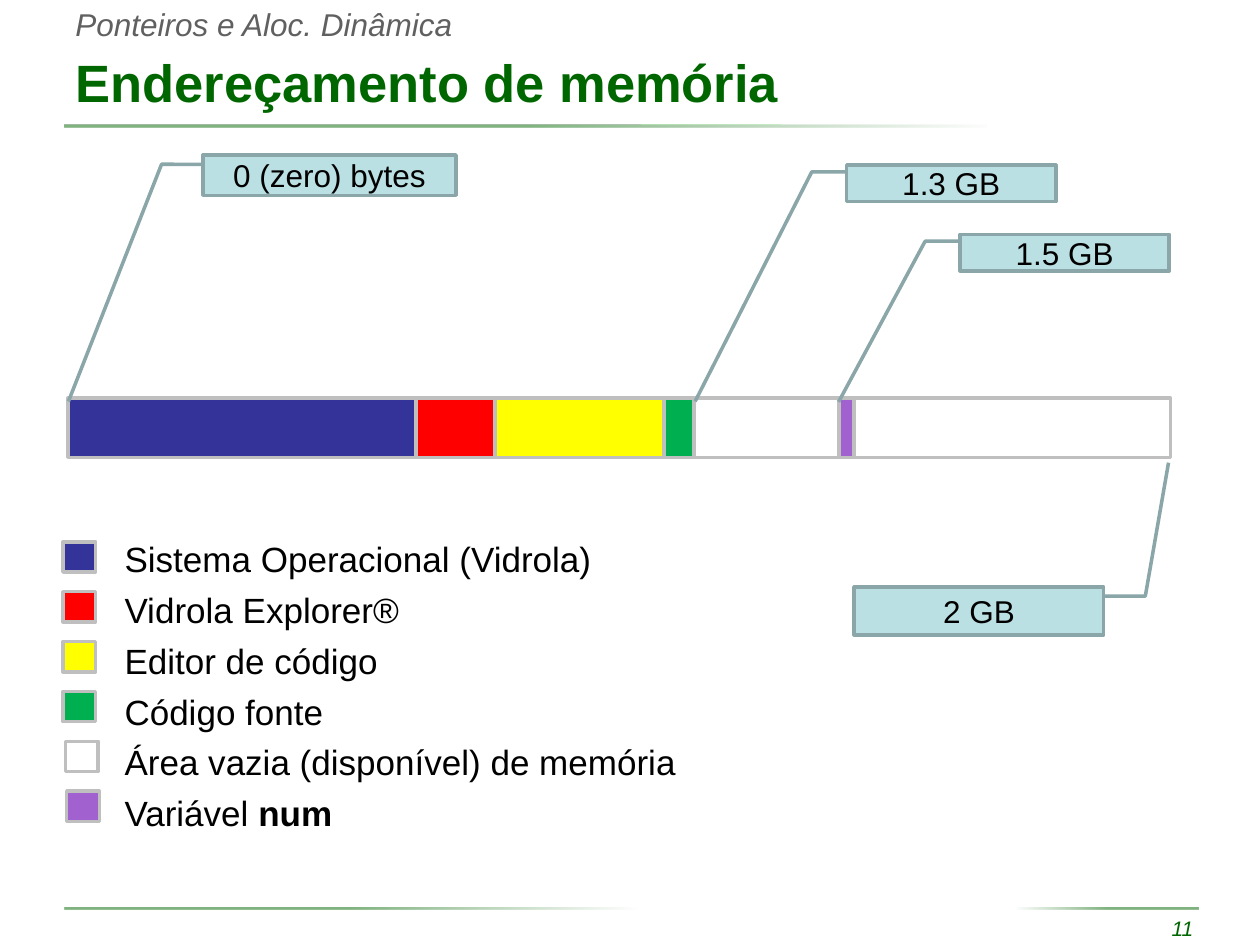
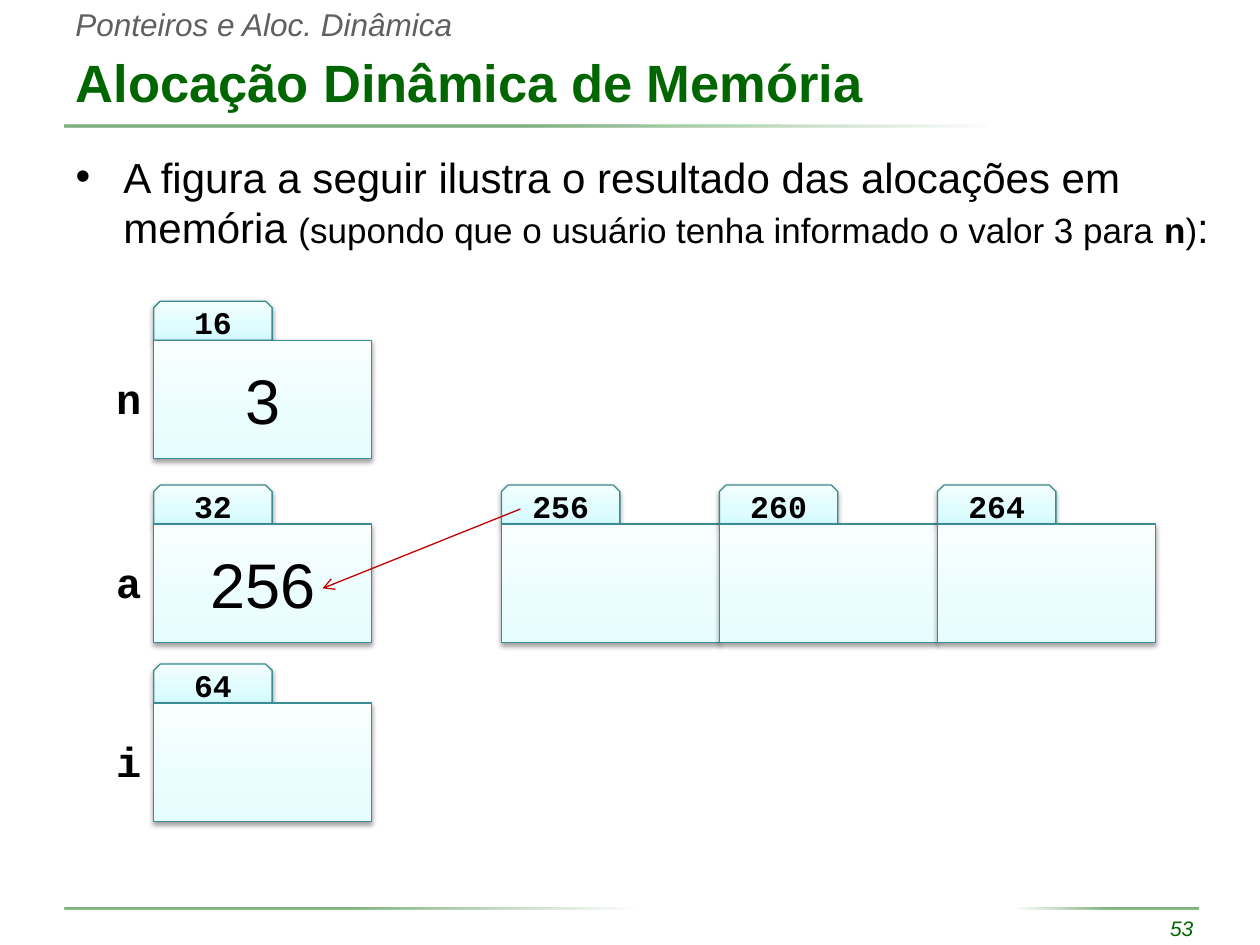
from dataclasses import dataclass
from typing import Optional

import pptx
import pptx.dml.color
import pptx.enum.shapes
import pptx.enum.text
import pptx.oxml
import pptx.oxml.ns
import pptx.oxml.xmlchemy
import pptx.presentation
import pptx.shapes.autoshape
import pptx.slide
import pptx.util
from lxml import etree

Inches = pptx.util.Inches
Pt = pptx.util.Pt
RGBColor = pptx.dml.color.RGBColor
qn = pptx.oxml.ns.qn
SHAPE = pptx.enum.shapes.MSO_SHAPE
ALIGN = pptx.enum.text.PP_ALIGN
ANCHOR = pptx.enum.text.MSO_ANCHOR
AUTO_SIZE = pptx.enum.text.MSO_AUTO_SIZE

# Colours and fonts
GREEN = RGBColor(0x00, 0x66, 0x00)
GRAY = RGBColor(0x60, 0x60, 0x60)
BLACK = RGBColor(0x00, 0x00, 0x00)
WHITE = RGBColor(0xFF, 0xFF, 0xFF)
NEAR_WHITE = RGBColor(0xFC, 0xFC, 0xFC)
BLUE = RGBColor(0x33, 0x33, 0x99)
RED = RGBColor(0xFF, 0x00, 0x00)
YELLOW = RGBColor(0xFF, 0xFF, 0x00)
CODE_GREEN = RGBColor(0x00, 0xB0, 0x50)
PURPLE = RGBColor(0xA1, 0x62, 0xD0)
AREA_BORDER = RGBColor(0xBF, 0xBF, 0xBF)
CALLOUT_FILL = RGBColor(0xBB, 0xE0, 0xE3)
CALLOUT_BORDER = RGBColor(0x8A, 0xA6, 0xA8)
CELL_BORDER = RGBColor(0x3C, 0x8C, 0x93)
ARROW_RED = RGBColor(0xC0, 0x00, 0x00)
SANS = "Arial"
MONO = "Courier New"

Stops = list[tuple[int, RGBColor]]
TAB_STOPS: Stops = [(0, RGBColor(0xD3, 0xFB, 0xFF)), (35, RGBColor(0xDF, 0xFC, 0xFF)),
                    (100, RGBColor(0xF2, 0xFE, 0xFF))]
CELL_STOPS: Stops = [(0, RGBColor(0xE6, 0xFD, 0xFF)), (35, RGBColor(0xEC, 0xFD, 0xFF)),
                     (100, RGBColor(0xF8, 0xFE, 0xFF))]


@dataclass(frozen=True)
class Band:
    left: float
    top: float
    width: float
    end_color: RGBColor
    angle: int = 0


@dataclass(frozen=True)
class MemoryArea:
    label: str
    color: RGBColor
    left: float
    width: float
    swatch_left: float = 0.5
    bold_label: str = ""


@dataclass(frozen=True)
class Callout:
    text: str
    box: tuple[float, float, float, float]
    leader: tuple[float, ...]
    flipped: bool = False


@dataclass(frozen=True)
class MemoryCell:
    address: str
    left: float
    top: float
    value: str = ""
    name: str = ""


BANDS = [
    Band(0.51, 0.99, 7.32, NEAR_WHITE),
    Band(0.51, 7.2, 4.54, WHITE),
    Band(8.06, 7.2, 1.45, WHITE, 180),
]

MEMORY_AREAS = [
    MemoryArea("Sistema Operacional (Vidrola)", BLUE, 0.54, 2.76),
    MemoryArea("Vidrola Explorer®", RED, 3.3, 0.63),
    MemoryArea("Editor de código", YELLOW, 3.93, 1.34),
    MemoryArea("Código fonte", CODE_GREEN, 5.27, 0.24),
    MemoryArea("Área vazia (disponível) de memória", WHITE, 5.51, 3.78, 0.52),
    MemoryArea("Variável ", PURPLE, 6.66, 0.12, 0.53, "num"),
]

CALLOUTS = [
    Callout("1.3 GB", (6.72, 1.31, 1.66, 0.29), (0.188, 0.003, 0.188, -0.167, 6.466, -0.725)),
    Callout("2 GB", (6.78, 4.66, 1.98, 0.38), (0.188, 0.003, 0.188, -0.167, -2.6, -0.26), True),
    Callout("1.5 GB", (7.62, 1.86, 1.66, 0.29), (0.188, 0.003, 0.188, -0.167, 4.584, -0.581)),
    Callout("0 (zero) bytes", (1.61, 1.23, 2.01, 0.32),
            (0.232, -0.005, 0.231, -0.163, 6.113, -0.531)),
]

CELL_WIDTH, CELL_HEIGHT = 1.73, 0.94
TAB_WIDTH, TAB_HEIGHT = 0.94, 0.31
VARIABLE_LEFT, ARRAY_LEFT, ARRAY_TOP = 1.22, 3.98, 3.85
MEMORY_CELLS = [
    MemoryCell("16", VARIABLE_LEFT, 2.39, "3", "n"),
    MemoryCell("32", VARIABLE_LEFT, ARRAY_TOP, "256", "a"),
    MemoryCell("64", VARIABLE_LEFT, 5.27, "", "i"),
] + [MemoryCell(str(256 + 4 * index), ARRAY_LEFT + CELL_WIDTH * index, ARRAY_TOP)
     for index in range(3)]


# Text and shape helpers
def write(paragraph, text: str, *, size: float = 18, font: str = SANS,
          color: RGBColor = BLACK, bold: bool = False, italic: bool = False,
          align: Optional[ALIGN] = None) -> None:
    """Append a formatted run to the paragraph."""
    if align is not None:
        paragraph.alignment = align
    run = paragraph.add_run()
    run.text = text
    run.font.size = Pt(size)
    run.font.name = font
    run.font.color.rgb = color
    run.font.bold = bold
    run.font.italic = italic


def place(shape, left: float, top: float, width: float, height: float) -> None:
    shape.left, shape.top = Inches(left), Inches(top)
    shape.width, shape.height = Inches(width), Inches(height)


def add_box(slide: pptx.slide.Slide, kind: SHAPE, left: float, top: float, width: float,
            height: float, *, fill: Optional[RGBColor] = None,
            border: Optional[RGBColor] = None,
            border_width: float = 2) -> pptx.shapes.autoshape.Shape:
    shape = slide.shapes.add_shape(kind, Inches(left), Inches(top),
                                   Inches(width), Inches(height))
    shape.shadow.inherit = False
    if fill is not None:
        shape.fill.solid()
        shape.fill.fore_color.rgb = fill
    if border is None:
        shape.line.fill.background()
    else:
        shape.line.color.rgb = border
        shape.line.width = Pt(border_width)
    shape.text_frame.vertical_anchor = ANCHOR.MIDDLE
    return shape


def add_text_box(slide: pptx.slide.Slide, left: float, top: float, width: float,
                 height: float, *, wrap: bool = True):
    text_frame = slide.shapes.add_textbox(Inches(left), Inches(top), Inches(width),
                                          Inches(height)).text_frame
    text_frame.word_wrap = wrap
    return text_frame


def add_color(parent, color: RGBColor, opacity: int) -> None:
    element = etree.SubElement(parent, qn("a:srgbClr"), val=str(color))
    if opacity < 100:
        etree.SubElement(element, qn("a:alpha"), val=str(opacity * 1000))


def fill_gradient(shape, stops: Stops, angle: int, opacity: int = 100) -> None:
    """Fill with colour stops along a clockwise angle."""
    shape.fill.gradient()
    shape.fill.gradient_angle = (360 - angle) % 360
    stop_list = shape._element.spPr.find(".//" + qn("a:gsLst"))
    for stop in list(stop_list):
        stop_list.remove(stop)
    for position, color in stops:
        stop = etree.SubElement(stop_list, qn("a:gs"), pos=str(position * 1000))
        add_color(stop, color, opacity)


def add_shadow(shape) -> None:
    effects = shape._element.spPr.find(qn("a:effectLst"))
    shadow = etree.SubElement(effects, qn("a:outerShdw"), blurRad=str(Pt(3.1)),
                              dist=str(Pt(1.6)), dir="5400000", rotWithShape="0")
    add_color(shadow, BLACK, 38)


# Parts shared by the slides
def start_slide(presentation: pptx.presentation.Presentation, layout: int, title: str,
                number: int) -> pptx.slide.Slide:
    slide = presentation.slides.add_slide(presentation.slide_layouts[layout])
    for band in BANDS:
        shape = add_box(slide, SHAPE.RECTANGLE, band.left, band.top, band.width, 0.02)
        fill_gradient(shape, [(0, GREEN), (50, GREEN), (100, band.end_color)], band.angle, 50)
    page = add_text_box(slide, 7.76, 7.22, 1.81, 0.3)
    write(page.paragraphs[0], str(number), size=12, color=GREEN, italic=True, align=ALIGN.RIGHT)
    section = add_text_box(slide, 0.5, -0.01, 3.22, 0.4, wrap=False)
    write(section.paragraphs[0], "Ponteiros e Aloc. Dinâmica", color=GRAY, italic=True)

    place(slide.shapes.title, 0.5, 0.3, 9, 0.69)
    title_frame = slide.shapes.title.text_frame
    title_frame.auto_size = AUTO_SIZE.NONE
    title_frame.vertical_anchor = ANCHOR.MIDDLE
    write(title_frame.paragraphs[0], title, size=30, color=GREEN, bold=True, align=ALIGN.LEFT)
    return slide


# Memory map with callouts and legend
def add_callout(slide: pptx.slide.Slide, callout: Callout) -> None:
    shape = add_box(slide, SHAPE.LINE_CALLOUT_2, *callout.box,
                    fill=CALLOUT_FILL, border=CALLOUT_BORDER)
    for index, value in enumerate(callout.leader):
        shape.adjustments[index] = value
    if callout.flipped:
        shape._element.spPr.find(qn("a:xfrm")).set("flipH", "1")
    write(shape.text_frame.paragraphs[0], callout.text, align=ALIGN.CENTER)


def build_addressing(presentation: pptx.presentation.Presentation) -> None:
    slide = start_slide(presentation, 5, "Endereçamento de memória", 11)
    legend = add_text_box(slide, 0.89, 4.22, 5.23, 2.4)
    for index, area in enumerate(MEMORY_AREAS):
        add_box(slide, SHAPE.RECTANGLE, area.left, 3.16, area.width, 0.47,
                fill=area.color, border=AREA_BORDER)
        add_box(slide, SHAPE.RECTANGLE, area.swatch_left, 4.3 + 1.98 / 5 * index, 0.26, 0.24,
                fill=area.color, border=AREA_BORDER)
        paragraph = legend.add_paragraph() if index else legend.paragraphs[0]
        if index:
            paragraph.space_before = Pt(5)
        write(paragraph, area.label, size=20)
        if area.bold_label:
            write(paragraph, area.bold_label, size=20, bold=True)
    for callout in CALLOUTS:
        add_callout(slide, callout)


# Memory cells with addresses
def add_memory_cell(slide: pptx.slide.Slide, cell: MemoryCell) -> None:
    tab = add_box(slide, SHAPE.SNIP_2_SAME_RECTANGLE, cell.left, cell.top, TAB_WIDTH,
                  TAB_HEIGHT, border=CELL_BORDER, border_width=0.75)
    body = add_box(slide, SHAPE.RECTANGLE, cell.left, cell.top + TAB_HEIGHT, CELL_WIDTH,
                   CELL_HEIGHT, border=CELL_BORDER, border_width=0.75)
    for shape, stops in ((tab, TAB_STOPS), (body, CELL_STOPS)):
        fill_gradient(shape, stops, 270)
        add_shadow(shape)
    write(tab.text_frame.paragraphs[0], cell.address, font=MONO, bold=True, align=ALIGN.CENTER)
    if cell.value:
        write(body.text_frame.paragraphs[0], cell.value, size=36, align=ALIGN.CENTER)
    if cell.name:
        label = add_text_box(slide, cell.left - 0.4, cell.top + 0.52, 0.4, 0.5, wrap=False)
        write(label.paragraphs[0], cell.name, size=24, font=MONO, bold=True, align=ALIGN.RIGHT)


def add_arrow(slide: pptx.slide.Slide, start: tuple[float, float],
              end: tuple[float, float]) -> None:
    arrow = slide.shapes.add_connector(pptx.enum.shapes.MSO_CONNECTOR.STRAIGHT,
                                       *map(Inches, start + end))
    arrow.line.color.rgb = ARROW_RED
    arrow.line.width = Pt(0.75)
    etree.SubElement(arrow.line._get_or_add_ln(), qn("a:tailEnd"), type="arrow")
    etree.SubElement(arrow._element.spPr, qn("a:effectLst"))


def build_allocation(presentation: pptx.presentation.Presentation) -> None:
    slide = start_slide(presentation, 1, "Alocação Dinâmica de Memória", 53)
    body = slide.placeholders[1]
    place(body, 0.5, 1.15, 9.22, 1.1)
    body.text_frame.auto_size = AUTO_SIZE.NONE
    paragraph = body.text_frame.paragraphs[0]
    paragraph.space_before = Pt(0)
    properties = paragraph._p.get_or_add_pPr()
    properties.set("marL", str(Inches(0.38)))
    properties.set("indent", str(Inches(-0.38)))
    etree.SubElement(properties, qn("a:buChar"), char="•")
    write(paragraph, "A figura a seguir ilustra o resultado das alocações em memória ", size=24)
    write(paragraph, "(supondo que o usuário tenha informado o valor 3 para ", size=20)
    write(paragraph, "n", size=20, bold=True)
    write(paragraph, ")", size=20)
    write(paragraph, ":", size=24)
    for cell in MEMORY_CELLS:
        add_memory_cell(slide, cell)
    add_arrow(slide, (4.13, 4.04), (2.56, 4.67))


def main() -> None:
    presentation = pptx.Presentation()
    presentation.slide_width, presentation.slide_height = Inches(10), Inches(7.5)
    build_addressing(presentation)
    build_allocation(presentation)
    presentation.save("out.pptx")


if __name__ == "__main__":
    main()
